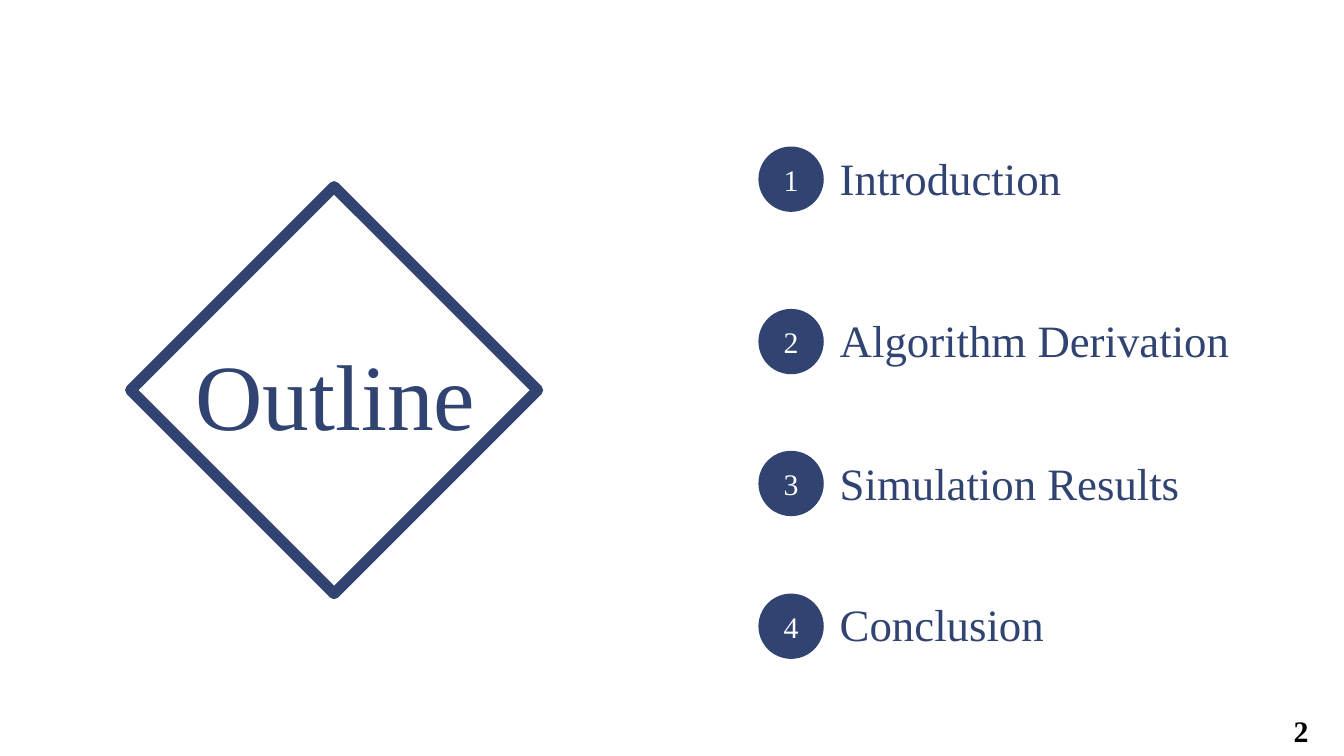
"""Build an outline slide with a framed title and four numbered topics."""
from pptx import Presentation
from pptx import util as u
from pptx.dml import color
from pptx.enum import shapes, text

Pt = u.Pt
HUES = {"navy": "304371", "white": "FFFFFF", "black": "000000"}
ALIGN = text.PP_ALIGN
ANCHOR = text.MSO_ANCHOR


def tint(hue):
    return color.RGBColor.from_string(HUES[hue])


def write(shape, words, size, hue, align, anchor, bold=False, wrap=False):
    frame = shape.text_frame
    look = {"word_wrap": wrap, "auto_size": text.MSO_AUTO_SIZE.NONE,
            "vertical_anchor": anchor}
    for key, val in look.items():
        setattr(frame, key, val)
    para = frame.paragraphs[0]
    para.text = words
    para.alignment = align
    for key, val in {"name": "Times New Roman", "size": Pt(size), "bold": bold}.items():
        setattr(para.font, key, val)
    para.font.color.rgb = tint(hue)


deck = Presentation()
deck.slide_width, deck.slide_height = Pt(720), Pt(405)
slide = deck.slides.add_slide(deck.slide_layouts[5])
items = slide.shapes

title = items.title
place = {"left": 96.5, "top": 177, "width": 166.5, "height": 67.5}
for key, val in place.items():
    setattr(title, key, Pt(val))
write(title, "Outline", 50, "navy", ALIGN.CENTER, ANCHOR.TOP)

frame = items.add_shape(shapes.MSO_SHAPE.DIAMOND, Pt(70), Pt(100), Pt(218), Pt(218))
frame.shadow.inherit = False
frame.fill.background()
frame.line.color.rgb = tint("navy")
frame.line.width = Pt(6)

topics = [
    ("Introduction", 78.5, 77),
    ("Algorithm Derivation", 165.5, 164),
    ("Simulation Results", 241.5, 240.5),
    ("Conclusion", 318, 316),
]
for num, (topic, top, base) in enumerate(topics, 1):
    dot = items.add_shape(shapes.MSO_SHAPE.OVAL, Pt(406.3), Pt(top), Pt(35), Pt(35))
    dot.shadow.inherit = False
    dot.fill.solid()
    dot.fill.fore_color.rgb = tint("navy")
    dot.line.fill.background()
    write(dot, str(num), 16, "white", ALIGN.CENTER, ANCHOR.MIDDLE, wrap=True)
    label = items.add_textbox(Pt(442.8), Pt(base), Pt(225), Pt(36))
    write(label, topic, 24, "navy", ALIGN.LEFT, ANCHOR.TOP)

page = items.add_textbox(Pt(681), Pt(371), Pt(39), Pt(33.5))
page.text_frame.margin_left = Pt(12)
write(page, "2", 16, "black", ALIGN.LEFT, ANCHOR.BOTTOM, bold=True, wrap=True)

deck.save("out.pptx")
